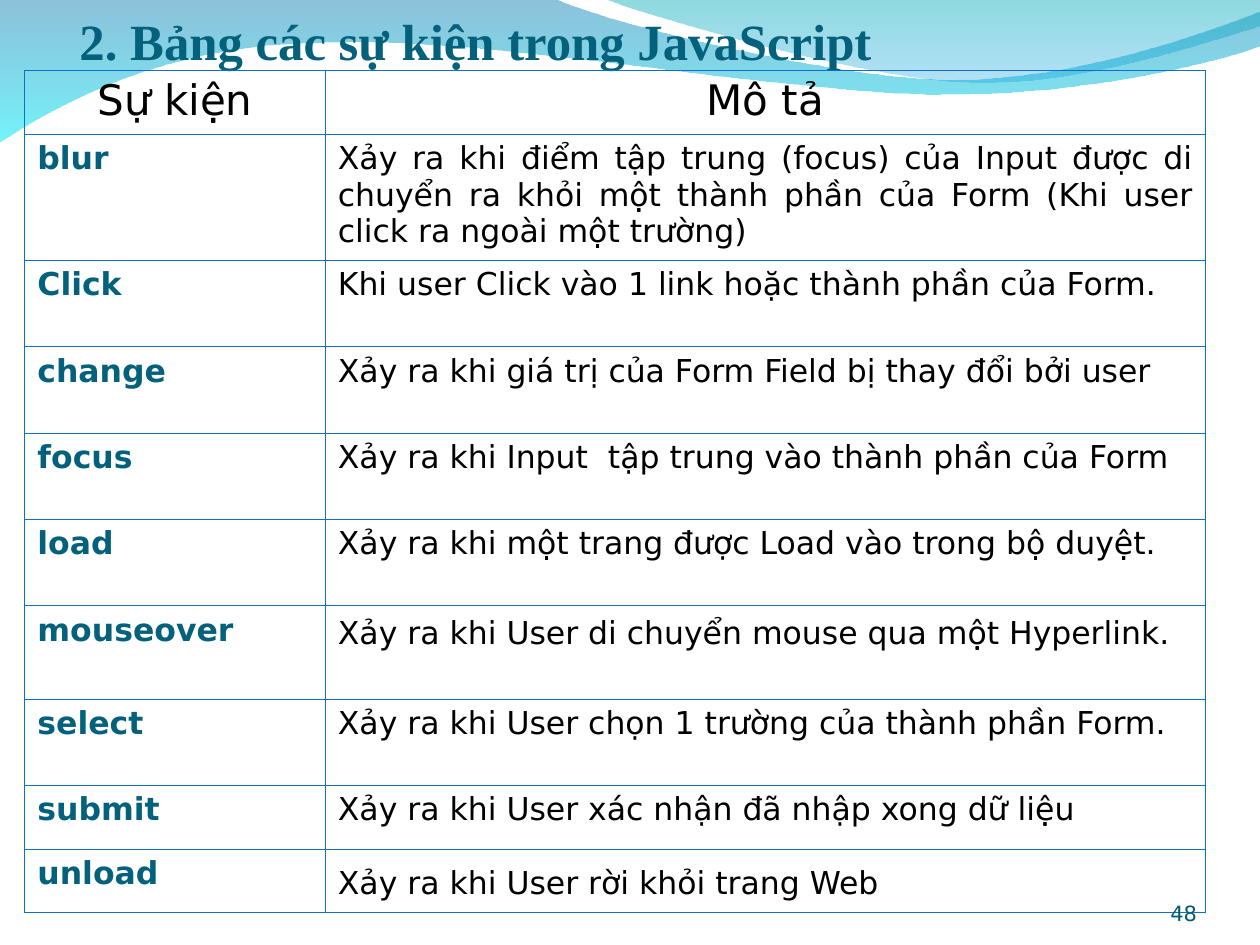
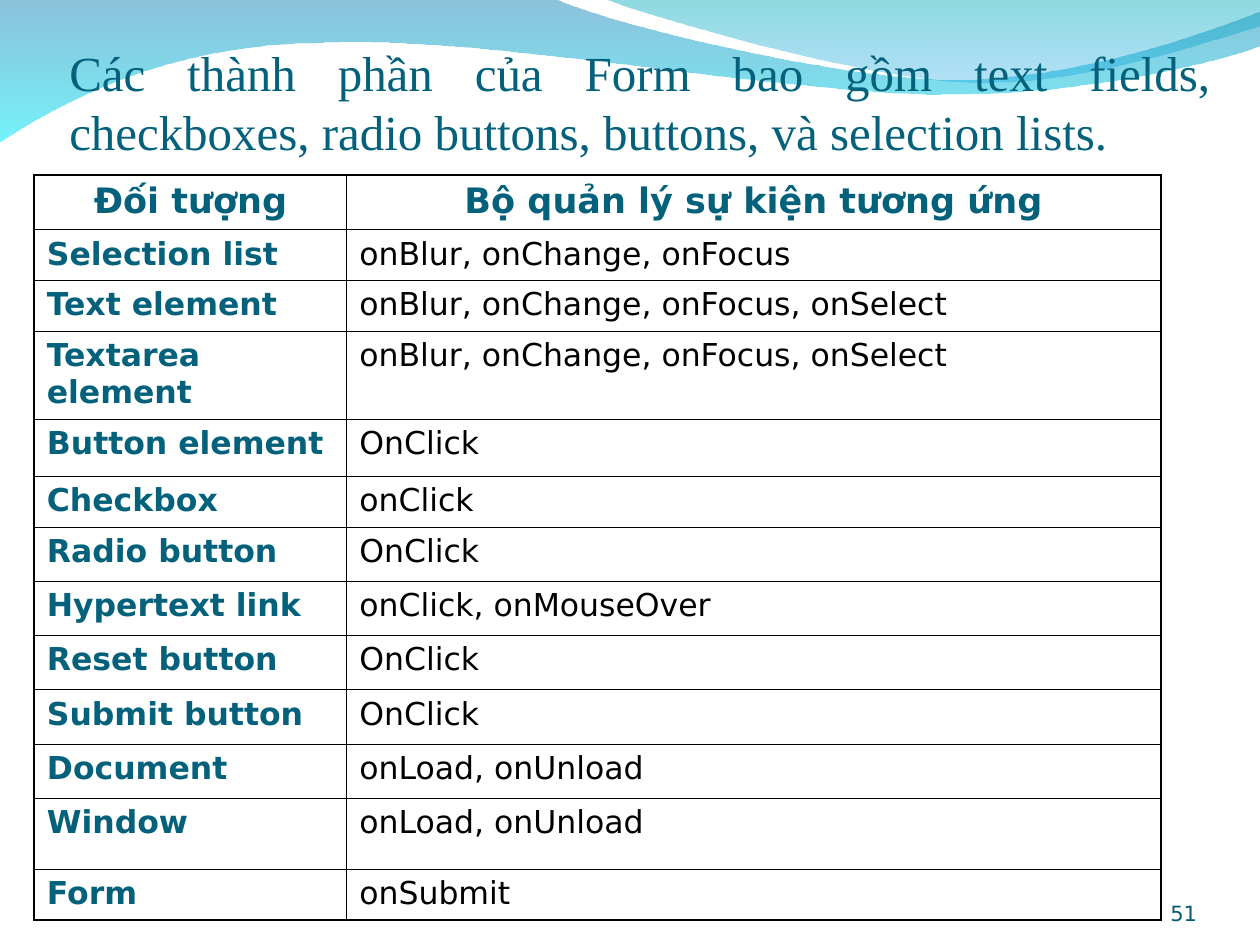
"""Build two slides of JavaScript event tables under a shared wave header."""
from itertools import chain
from lxml.etree import SubElement
from pptx import Presentation
from pptx.dml.color import RGBColor
from pptx.enum.text import MSO_ANCHOR, PP_ALIGN
from pptx.oxml.ns import qn
from pptx.util import Pt

TEAL = RGBColor(0x04, 0x61, 0x7B)
NUMBER_TEAL = RGBColor(0x04, 0x5C, 0x75)
BLUE = RGBColor(0x0F, 0x6F, 0xC6)
BLACK = RGBColor(0, 0, 0)
TITLE_FONT = "Times New Roman"
BODY_FONT = "DejaVu Sans"
UNITS_PER_POINT = 100
WAVE_TOP = -0.7

WIDE_WAVE = [
    [(317, 0)],
    [(342.7, 12.9), (478.1, 46.1), (545.8, 46.1)],
    [(614.2, 46.1), (689.8, 19.4), (720, 7.2)],
    [(720.7, 26.6)],
    [(707.8, 32.4), (626.4, 55.4), (537.1, 54.7)],
    [(447.8, 54.7), (275, 20.9), (185, 25.2)],
    [(92.9, 25.9), (33.1, 60.5), (-0.7, 82.1)],
]
RIGHT_WAVE = [
    [(21.5, 8.6), (146, 45.3), (208.7, 47.5)],
    [(271.3, 50.4), (346.9, 23.7), (375, 15.8)],
    [(375, 0.7)],
]
WAVES = [
    (0, WIDE_WAVE, [(RGBColor(0, 0x79, 0xAF), 45), (RGBColor(0, 0xEB, 0xF8), 55)]),
    (345, RIGHT_WAVE, [(RGBColor(0, 0xAD, 0xB6), 45), (RGBColor(0, 0x9B, 0xE5), 30)]),
]

EVENT_ROWS = [
    (36.6, "Sự kiện", "Mô tả"),
    (72, "blur", "Xảy ra khi điểm tập trung (focus) của Input được di chuyển ra khỏi "
     "một thành phần của Form (Khi user click ra ngoài một trường)"),
    (49.3, "Click", "Khi user Click vào 1 link hoặc thành phần của Form."),
    (49.4, "change", "Xảy ra khi giá trị của Form Field bị thay đổi bởi user"),
    (49.3, "focus", "Xảy ra khi Input  tập trung vào thành phần của Form"),
    (49.3, "load", "Xảy ra khi một trang được Load vào trong bộ duyệt."),
    (53.5, "mouseover", "Xảy ra khi User di chuyển mouse qua một Hyperlink."),
    (49.2, "select", "Xảy ra khi User chọn 1 trường của thành phần Form."),
    (36.6, "submit", "Xảy ra khi User xác nhận đã nhập xong dữ liệu"),
    (36, "unload", "Xảy ra khi User rời khỏi trang Web"),
]
HANDLER_ROWS = [
    (31.2, "Đối tượng", "Bộ quản lý sự kiện tương ứng"),
    (29, "Selection list", "onBlur, onChange, onFocus"),
    (29, "Text element", "onBlur, onChange, onFocus, onSelect"),
    (50.2, "Textarea element", "onBlur, onChange, onFocus, onSelect"),
    (32.5, "Button element", "OnClick"),
    (29, "Checkbox", "onClick"),
    (31, "Radio button", "OnClick"),
    (31, "Hypertext link", "onClick, onMouseOver"),
    (31, "Reset button", "OnClick"),
    (31, "Submit button", "OnClick"),
    (31, "Document", "onLoad, onUnload"),
    (40.5, "Window", "onLoad, onUnload"),
    (29, "Form", "onSubmit"),
]


def style(p, text, font, size, color, bold=False, align=PP_ALIGN.LEFT):
    """Write one evenly styled paragraph."""
    p.text = text
    p.alignment = align
    p.font.name = font
    p.font.size = Pt(size)
    p.font.bold = bold
    p.font.color.rgb = color


def bend(sp, segments):
    """Turn each three-point segment of an outline into a cubic curve."""
    lines = iter(list(sp._element.iter(qn("a:lnTo"))))
    for segment in segments:
        first, *rest = [next(lines) for _ in segment]
        if rest:
            first.tag
            curve = first.makeelement(qn("a:cubicBezTo"))
            first.addprevious(curve)
            for line in (first, *rest):
                curve.append(line[0])
                line.getparent().remove(line)


def add_wave(slide, left, segments, stops):
    """Draw one translucent gradient wave along the top edge."""
    builder = slide.shapes.build_freeform(0, 0, scale=Pt(1) / UNITS_PER_POINT)
    builder.add_line_segments(
        [(x * UNITS_PER_POINT, y * UNITS_PER_POINT) for x, y in chain(*segments)], close=True)
    sp = builder.convert_to_shape(Pt(left), Pt(WAVE_TOP))
    bend(sp, segments)
    sp.shadow.inherit = False
    sp.line.fill.background()
    sp.fill.gradient()
    sp.fill.gradient_angle = 270
    for stop, (color, _) in zip(sp.fill.gradient_stops, stops):
        stop.color.rgb = color
    for clr, (_, opacity) in zip(sp._element.spPr.iter(qn("a:srgbClr")), stops):
        SubElement(clr, qn("a:alpha"), val=str(opacity * 1000))


def add_text(slide, box, top_inset, text, *args, **kwargs):
    """Add a bottom-anchored text box."""
    tf = slide.shapes.add_textbox(*map(Pt, box)).text_frame
    tf.word_wrap = True
    tf.vertical_anchor = MSO_ANCHOR.BOTTOM
    tf.margin_left = tf.margin_right = tf.margin_bottom = 0
    tf.margin_top = Pt(top_inset)
    style(tf.paragraphs[0], text, *args, **kwargs)


def set_borders(cell, color, widths):
    """Give a cell its left, right, top and bottom lines."""
    tcPr = cell._tc.get_or_add_tcPr()
    for i, (side, width) in enumerate(zip("LRTB", widths)):
        ln = SubElement(tcPr, qn(f"a:ln{side}"), w=str(Pt(width)))
        SubElement(SubElement(ln, qn("a:solidFill")), qn("a:srgbClr"), val=str(color))
        tcPr.insert(i, ln)


def add_event_table(slide, left, top, col_widths, rows, line_color, outer, header):
    """Add a two-column table with a header and bold names, and return it."""
    last = len(rows) - 1
    height = sum(row[0] for row in rows)
    table = slide.shapes.add_table(
        len(rows), 2, Pt(left), Pt(top), Pt(sum(col_widths)), Pt(height)).table
    table.first_row = table.horz_banding = False
    for column, width in zip(table.columns, col_widths):
        column.width = Pt(width)
    for i, (row_height, *texts) in enumerate(rows):
        table.rows[i].height = Pt(row_height)
        for j, text in enumerate(texts):
            cell = table.cell(i, j)
            cell.fill.background()
            edges = (j == 0, j == 1, i == 0, i == last)
            set_borders(cell, line_color, [outer if edge else 0.45 for edge in edges])
            p = cell.text_frame.paragraphs[0]
            if i == 0:
                style(p, text, BODY_FONT, *header, align=PP_ALIGN.CENTER)
            else:
                style(p, text, BODY_FONT, 18, BLACK if j else TEAL, bold=j == 0)
    return table


def add_base_slide(prs):
    """Add a blank slide with the waves."""
    slide = prs.slides.add_slide(prs.slide_layouts[6])
    for wave in WAVES:
        add_wave(slide, *wave)
    return slide


def add_number(slide, number):
    """Add the page number at the bottom right."""
    add_text(slide, (624, 500.4, 60, 28.8), 0, str(number),
             BODY_FONT, 12, NUMBER_TEAL, align=PP_ALIGN.RIGHT)


def build_events_slide(prs):
    """Build the table of JavaScript events."""
    slide = add_base_slide(prs)
    add_text(slide, (45.4, 0, 612, 40.3), 3.6, "2. Bảng các sự kiện trong JavaScript",
             TITLE_FONT, 29, TEAL, bold=True)
    table = add_event_table(slide, 14.2, 40.2, (171.7, 503), EVENT_ROWS,
                            BLUE, 0.75, (24, BLACK))
    table.cell(1, 1).text_frame.paragraphs[0].alignment = PP_ALIGN.JUSTIFY
    table.cell(6, 1).margin_top = Pt(5.5)
    table.cell(9, 1).margin_top = Pt(9.2)
    add_number(slide, 48)


def build_handlers_slide(prs):
    """Build the table of form elements and their event handlers."""
    slide = add_base_slide(prs)
    add_text(slide, (39.6, 15.1, 652.3, 76.3), 3.6,
             "Các thành phần của Form bao gồm text fields, checkboxes, radio buttons, "
             "buttons, và selection lists.",
             TITLE_FONT, 28, TEAL, align=PP_ALIGN.JUSTIFY)
    add_event_table(slide, 19.6, 100, (178.6, 465.1), HANDLER_ROWS,
                    BLACK, 1.08, (20, TEAL, True))
    add_number(slide, 51)


def main():
    """Build and save the presentation."""
    prs = Presentation()
    prs.slide_width, prs.slide_height = Pt(720), Pt(540)
    build_events_slide(prs)
    build_handlers_slide(prs)
    prs.save("out.pptx")


if __name__ == "__main__":
    main()
